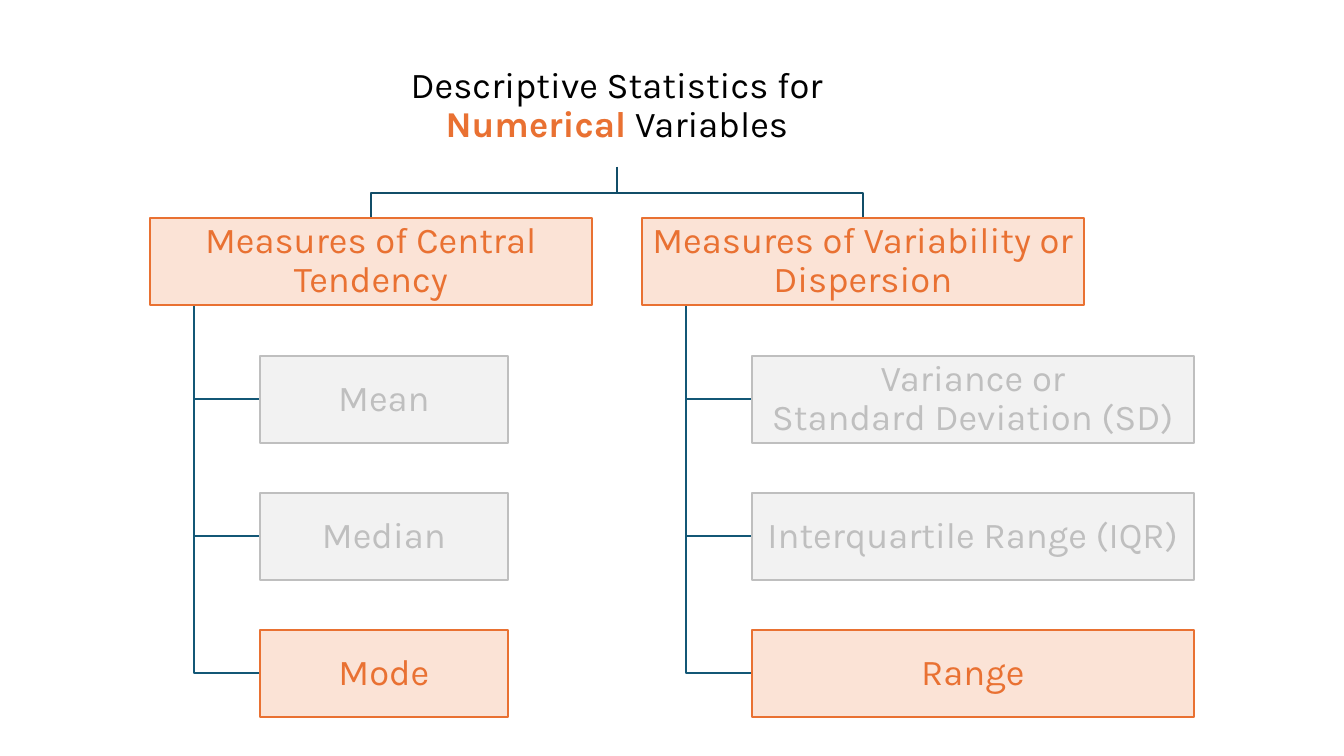
from pptx import Presentation
from pptx.dml.color import RGBColor
from pptx.enum.shapes import MSO_SHAPE
from pptx.enum.text import MSO_ANCHOR, PP_ALIGN
from pptx.util import Pt

PX = 914400 / 100.8  # EMU per px

BLACK = RGBColor(0x00, 0x00, 0x00)
ORANGE = RGBColor(0xE9, 0x71, 0x32)
PEACH = RGBColor(0xFB, 0xE3, 0xD6)
GRAY = RGBColor(0xBF, 0xBF, 0xBF)
PALE_GRAY = RGBColor(0xF2, 0xF2, 0xF2)
TEAL = RGBColor(0x13, 0x57, 0x76)
DARK_TEAL = RGBColor(0x11, 0x4D, 0x68)

ACTIVE = (PEACH, ORANGE)
MUTED = (PALE_GRAY, GRAY)

TITLE_BOX = (381, 46, 472, 121)
HEADING_TOP, HEADING_WIDTH, BOX_HEIGHT = 218, 442, 87
MEASURE_TOP, MEASURE_STEP = 356, 137
TRUNK_INDENT, MEASURE_INDENT = 44, 110

FRAME_FORMAT = {
    "word_wrap": True,
    "vertical_anchor": MSO_ANCHOR.MIDDLE,
    "margin_left": 2 * PX,
    "margin_right": 2 * PX,
    "margin_top": 2 * PX,
    "margin_bottom": 2 * PX,
}
PARAGRAPH_FORMAT = {"alignment": PP_ALIGN.CENTER, "line_spacing": 0.9}
FONT_FORMAT = {"name": "Karla", "size": Pt(26), "bold": False}

# left edge, heading, width of the measures, (measure, colours)
BRANCHES = [
    (150, "Measures of Central Tendency", 248,
     [("Mean", MUTED), ("Median", MUTED), ("Mode", ACTIVE)]),
    (642, "Measures of Variability or Dispersion", 442,
     [("Variance or\vStandard Deviation (SD)", MUTED),
      ("Interquartile Range (IQR)", MUTED), ("Range", ACTIVE)]),
]


def px(*lengths):
    return [round(length * PX) for length in lengths]


def apply_format(target, values):
    for name, value in values.items():
        if isinstance(value, float) and name.startswith("margin"):
            value = round(value)
        setattr(target, name, value)


def format_run(run, color):
    apply_format(run.font, FONT_FORMAT)
    run.font.color.rgb = color


def first_paragraph(shape):
    """Format the text frame and return its centred first paragraph."""
    apply_format(shape.text_frame, FRAME_FORMAT)
    paragraph = shape.text_frame.paragraphs[0]
    apply_format(paragraph, PARAGRAPH_FORMAT)
    return paragraph


def add_title(slide):
    paragraph = first_paragraph(slide.shapes.add_textbox(*px(*TITLE_BOX)))
    for text, color, bold in [("Descriptive Statistics for ", BLACK, False),
                              ("Numerical", ORANGE, True),
                              (" Variables", BLACK, False)]:
        run = paragraph.add_run()
        run.text = text
        format_run(run, color)
        run.font.bold = bold


def add_box(slide, text, left, top, width, colors):
    fill, ink = colors
    box = slide.shapes.add_shape(MSO_SHAPE.RECTANGLE,
                                 *px(left, top, width, BOX_HEIGHT))
    box.shadow.inherit = False
    box.fill.solid()
    box.fill.fore_color.rgb = fill
    box.line.color.rgb = ink
    box.line.width = Pt(1.5)
    paragraph = first_paragraph(box)
    paragraph.text = text
    for run in paragraph.runs:
        format_run(run, ink)


def add_bent_line(slide, points, color):
    start, *others = points
    builder = slide.shapes.build_freeform(*start, scale=PX)
    builder.add_line_segments(others, close=False)
    line = builder.convert_to_shape()
    line.shadow.inherit = False
    line.fill.background()
    line.line.color.rgb = color
    line.line.width = Pt(1.5)


def add_branch(slide, left, heading, measure_width, measures):
    title_left, title_top, title_width, title_height = TITLE_BOX
    root_x = title_left + title_width // 2
    root_y = title_top + title_height
    bend_y = (root_y + HEADING_TOP) // 2 + 1
    heading_x = left + HEADING_WIDTH // 2
    add_bent_line(slide, [(root_x, root_y), (root_x, bend_y),
                          (heading_x, bend_y), (heading_x, HEADING_TOP)],
                  DARK_TEAL)

    trunk_x = left + TRUNK_INDENT
    measure_left = left + MEASURE_INDENT
    for row, (measure, colors) in enumerate(measures):
        top = MEASURE_TOP + row * MEASURE_STEP
        middle = top + BOX_HEIGHT // 2
        add_bent_line(slide, [(trunk_x, HEADING_TOP + BOX_HEIGHT),
                              (trunk_x, middle), (measure_left, middle)], TEAL)
        add_box(slide, measure, measure_left, top, measure_width, colors)
    add_box(slide, heading, left, HEADING_TOP, HEADING_WIDTH, ACTIVE)


def main():
    presentation = Presentation()
    presentation.slide_width, presentation.slide_height = px(1344, 756)
    slide = presentation.slides.add_slide(presentation.slide_layouts[6])
    add_title(slide)
    for branch in BRANCHES:
        add_branch(slide, *branch)
    presentation.save("out.pptx")


if __name__ == "__main__":
    main()
